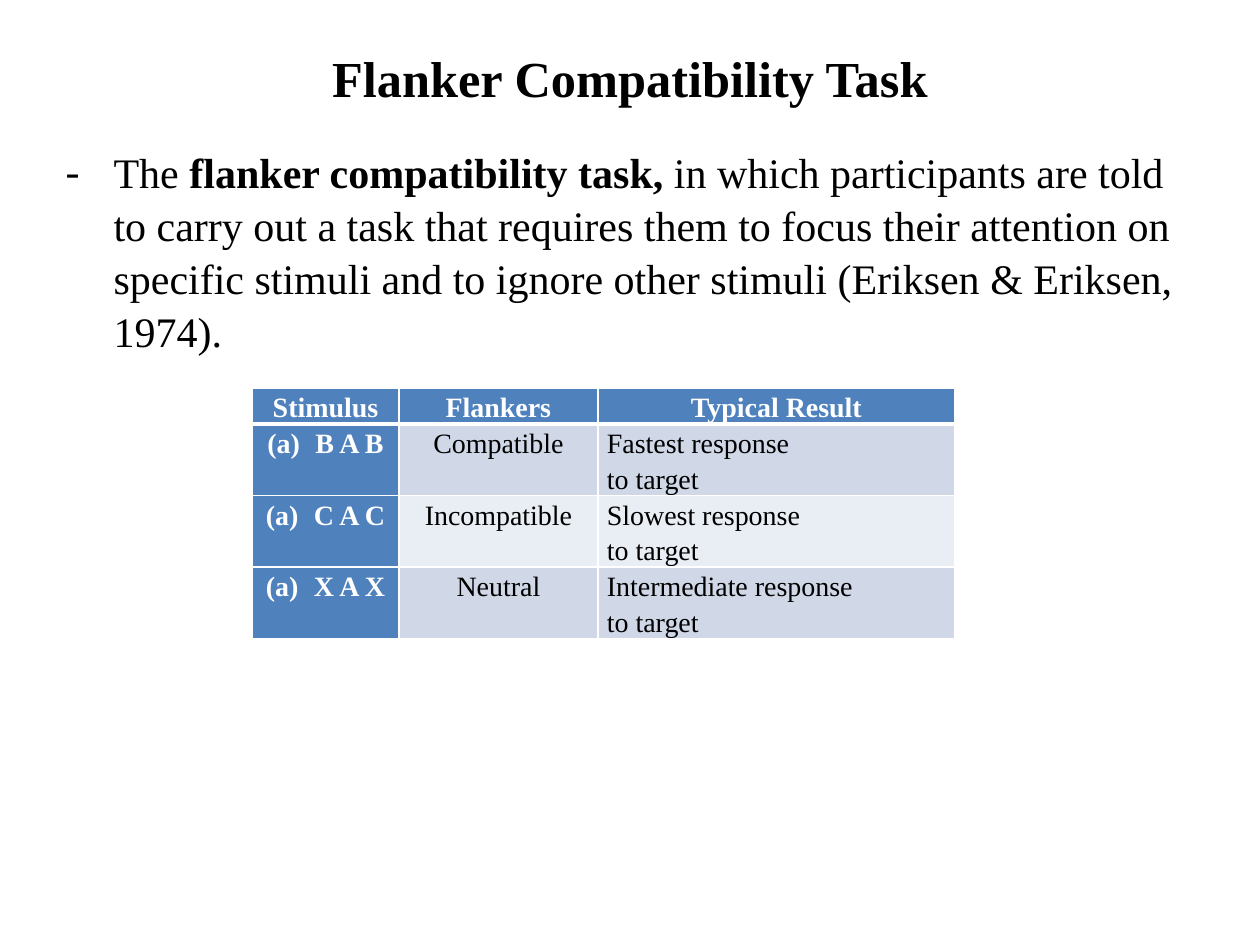
from lxml.etree import SubElement as Sub
from pptx import Presentation
from pptx.dml.color import RGBColor
from pptx.enum.text import MSO_ANCHOR as Anchor, MSO_AUTO_SIZE as Auto, PP_ALIGN as Align
from pptx.oxml.ns import qn
from pptx.util import Pt

PX = 914400 // 126
FONT = "Times New Roman"
BLACK = RGBColor(0, 0, 0)
WHITE = RGBColor(255, 255, 255)
BLUE = RGBColor(0x4F, 0x81, 0xBD)
DARK = RGBColor(0xD0, 0xD8, 0xE8)
LIGHT = RGBColor(0xE9, 0xED, 0xF4)

HEAD = ["Stimulus", "Flankers", "Typical Result"]
ROWS = [
    ["B A B", "Compatible", "Fastest response\nto target"],
    ["C A C", "Incompatible", "Slowest response\nto target"],
    ["X A X", "Neutral", "Intermediate response\nto target"],
]
COLS = [147, 199, 357]


def put(par, text, size=16, color=BLACK, bold=False, align=Align.LEFT, lead=1.0):
    par.alignment = align
    par.line_spacing = lead
    par.space_before = Pt(0)
    run = par.add_run()
    run.text = text
    font = run.font
    font.name = FONT
    font.size = Pt(size)
    font.bold = bold
    font.color.rgb = color


def mark(par, tag, **attrs):
    props = par._p.get_or_add_pPr()
    props.set("marL", str(48 * PX))
    props.set("indent", str(-48 * PX))
    Sub(props, qn("a:buFont"), typeface=FONT)
    Sub(props, qn(tag), **attrs)


def place(shape, box):
    shape.left, shape.top, shape.width, shape.height = [n * PX for n in box]
    frame = shape.text_frame
    frame.word_wrap = True
    frame.auto_size = Auto.NONE
    return frame


def title(slide, box):
    frame = place(slide.shapes.title, box)
    frame.vertical_anchor = Anchor.MIDDLE
    put(frame.paragraphs[0], "Flanker Compatibility Task",
        size=28.8, bold=True, align=Align.CENTER)


def body(slide, box):
    par = place(slide.placeholders[1], box).paragraphs[0]
    mark(par, "a:buChar", char="-")
    parts = [
        ("The ", False),
        ("flanker compatibility task, ", True),
        ("in which participants are told to carry out a task that requires them "
         "to focus their attention on specific stimuli and to ignore other "
         "stimuli (Eriksen & Eriksen, 1974).", False),
    ]
    for text, bold in parts:
        put(par, text, size=24, bold=bold, lead=1.05)


def edge(cell, side, width):
    props = cell._tc.get_or_add_tcPr()
    line = Sub(props, qn("a:ln" + side), w=str(Pt(width)))
    Sub(Sub(line, qn("a:solidFill")), qn("a:srgbClr"), val=str(WHITE))


def fill(cell, text, row, col):
    cell.margin_left = cell.margin_right = 9 * PX
    cell.margin_top = cell.margin_bottom = 0
    for side in "LRTB":
        thick = (row, side) in [(0, "B"), (1, "T")]
        edge(cell, side, 3 if thick else 1)
    key = row == 0 or col == 0
    cell.fill.solid()
    cell.fill.fore_color.rgb = BLUE if key else DARK if row % 2 else LIGHT
    frame = cell.text_frame
    for i, line in enumerate(text.split("\n")):
        par = frame.add_paragraph() if i else frame.paragraphs[0]
        if row and col == 0:
            mark(par, "a:buAutoNum", type="alphaLcParenBoth")
        put(par, line, color=WHITE if key else BLACK, bold=key, lead=1.15,
            align=Align.LEFT if row and col == 2 else Align.CENTER)


def table(slide, left, top):
    data = [HEAD] + ROWS
    high = [36] + [71] * len(ROWS)
    box = [n * PX for n in (left, top, sum(COLS), sum(high))]
    grid = slide.shapes.add_table(len(data), len(COLS), *box).table
    for col, wide in zip(grid.columns, COLS):
        col.width = wide * PX
    for r, line in enumerate(data):
        grid.rows[r].height = high[r] * PX
        for c, text in enumerate(line):
            fill(grid.cell(r, c), text, r, c)


def main():
    deck = Presentation()
    deck.slide_width, deck.slide_height = 1260 * PX, 945 * PX
    slide = deck.slides.add_slide(deck.slide_layouts[1])
    title(slide, (63, 38, 1134, 78))
    body(slide, (53, 138, 1134, 708))
    table(slide, 252, 388)
    deck.save("out.pptx")


if __name__ == "__main__":
    main()
